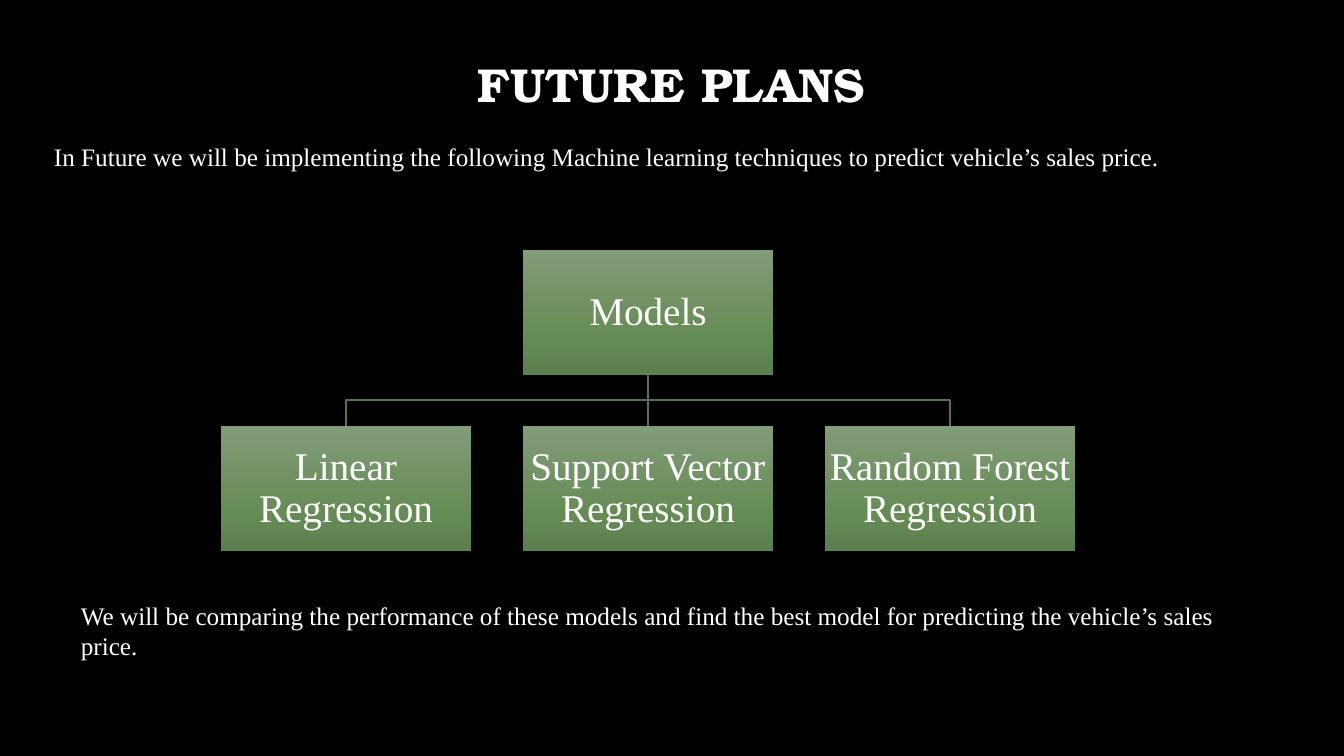
from copy import deepcopy

from pptx import Presentation
from pptx.dml.color import RGBColor
from pptx.enum.shapes import MSO_CONNECTOR, MSO_SHAPE
from pptx.enum.text import MSO_ANCHOR, PP_ALIGN
from pptx.util import Pt
from lxml import etree

PX = 914400 / 100.8
RECT = MSO_SHAPE.RECTANGLE
STRAIGHT = MSO_CONNECTOR.STRAIGHT
TOP, MIDDLE = MSO_ANCHOR.TOP, MSO_ANCHOR.MIDDLE
LEFT, CENTER = PP_ALIGN.LEFT, PP_ALIGN.CENTER
SERIF = "Times New Roman"
WHITE, BLACK, LINE = "FFFFFF", "000000", "57704D"
GREENS = [(0, "829B79"), (0.69, "668C55"), (1, "5C7F4E")]
A = "{http://schemas.openxmlformats.org/drawingml/2006/main}"


def px(*nums):
    return [round(n * PX) for n in nums]


def color(code):
    return RGBColor.from_string(code)


def write(frame, text, size=18, font=SERIF, bold=False, align=LEFT,
          anchor=TOP, space=1.0, inset=None):
    frame.word_wrap = True
    frame.vertical_anchor = anchor
    if inset is not None:
        frame.margin_left, frame.margin_top = px(inset, inset)
        frame.margin_right, frame.margin_bottom = px(inset, inset)
    para = frame.paragraphs[0]
    para.alignment = align
    para.line_spacing = space
    run = para.add_run()
    run.text = text
    run.font.size = Pt(size)
    run.font.name = font
    run.font.bold = bold
    run.font.color.rgb = color(WHITE)


def label(slide, box, text, **form):
    write(slide.shapes.add_textbox(*px(*box)).text_frame, text, **form)


def shade(fill):
    """Fill with the three greens, from top to bottom."""
    fill.gradient()
    fill.gradient_angle = 270
    stops = fill.gradient_stops
    last = stops[1]._gs
    last.addprevious(deepcopy(last))
    for stop, (place, code) in zip(fill.gradient_stops, GREENS):
        stop.position = place
        stop.color.rgb = color(code)


def node(slide, box, text):
    shape = slide.shapes.add_shape(RECT, *px(*box))
    shape.shadow.inherit = False
    shade(shape.fill)
    shape.line.fill.background()
    write(shape.text_frame, text, size=28, align=CENTER, anchor=MIDDLE,
          space=0.9, inset=2)
    return shape


def stroke(line):
    line.color.rgb = color(LINE)
    line.width = Pt(1)


def elbow(slide, start, end):
    (left, top), (right, low) = start, end
    mid = (top + low) / 2
    path = slide.shapes.build_freeform(left, top, scale=PX)
    path.add_line_segments([(left, mid), (right, mid), end], close=False)
    shape = path.convert_to_shape()
    shape.shadow.inherit = False
    shape.fill.background()
    stroke(shape.line)


def join(slide, parent, child):
    """Straight line from the bottom of parent to the top of child."""
    link = slide.shapes.add_connector(STRAIGHT, 0, 0, 0, 0)
    link.begin_connect(parent, 2)
    link.end_connect(child, 0)
    stroke(link.line)
    etree.SubElement(link._element.spPr, A + "effectLst")


def tree(slide, box, root, leaves):
    left, top, width, height = box
    wide, high = 250, 125
    step = (width - wide) / (len(leaves) - 1)
    middle = left + width / 2
    low = top + height - high
    parent = node(slide, (middle - wide / 2, top, wide, high), root)
    for i, text in enumerate(leaves):
        x = left + i * step
        child = node(slide, (x, low, wide, high), text)
        center = x + wide / 2
        if center == middle:
            join(slide, parent, child)
        else:
            elbow(slide, (middle, top + high), (center, low))


def main():
    deck = Presentation()
    deck.slide_width, deck.slide_height = px(1344, 756)
    slide = deck.slides.add_slide(deck.slide_layouts[6])
    back = slide.background.fill
    back.solid()
    back.fore_color.rgb = color(BLACK)
    label(slide, (101, 14, 1141, 146), "FUTURE PLANS", size=34,
          font="TeX Gyre Bonum", bold=True, align=CENTER, anchor=MIDDLE,
          space=0.9)
    tree(slide, (221, 250, 854, 301), "Models",
         ["Linear Regression", "Support Vector Regression",
          "Random Forest Regression"])
    label(slide, (44, 136, 1234, 72),
          "In Future we will be implementing the following Machine learning "
          "techniques to predict vehicle’s sales price.")
    label(slide, (71, 595, 1178, 72),
          "We will be comparing the performance of these models and find the "
          "best model for predicting the vehicle’s sales price.")
    deck.save("out.pptx")


if __name__ == "__main__":
    main()
